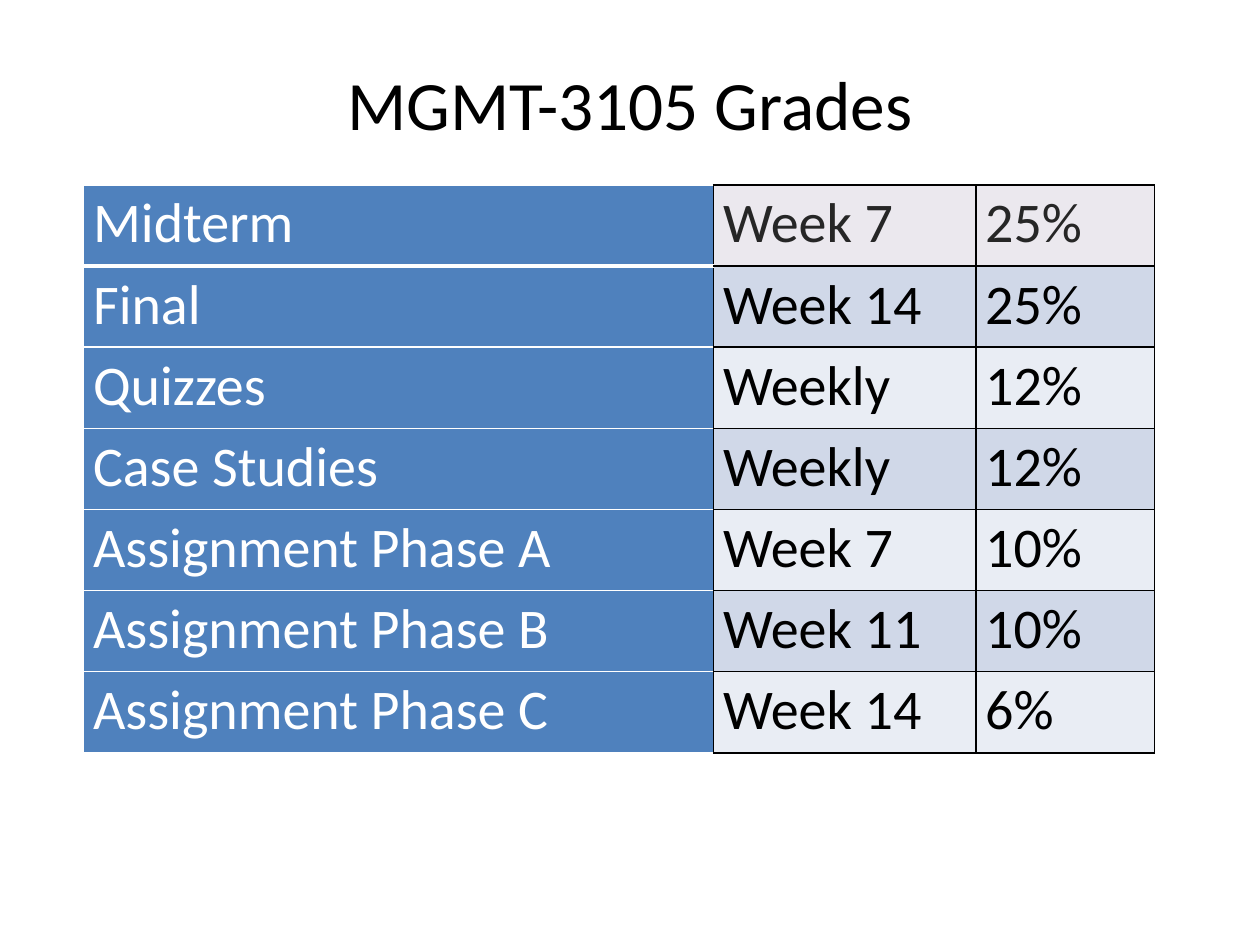
from lxml.etree import SubElement
from pptx import Presentation
from pptx.dml.color import RGBColor
from pptx.enum.text import MSO_ANCHOR, PP_ALIGN
from pptx.oxml.ns import qn
from pptx.util import Pt

# Content
TITLE = "MGMT-3105 Grades"
GRADES = [
    ("Midterm", "Week 7", "25%"),
    ("Final", "Week 14", "25%"),
    ("Quizzes", "Weekly", "12%"),
    ("Case Studies", "Weekly", "12%"),
    ("Assignment Phase A", "Week 7", "10%"),
    ("Assignment Phase B", "Week 11", "10%"),
    ("Assignment Phase C", "Week 14", "6%"),
]

# Format
BLACK = RGBColor(0x00, 0x00, 0x00)
WHITE = RGBColor(0xFF, 0xFF, 0xFF)
CHARCOAL = RGBColor(0x26, 0x26, 0x26)
BLUE = RGBColor(0x4F, 0x81, 0xBD)
LILAC = RGBColor(0xEB, 0xE8, 0xEE)
BANDS = [RGBColor(0xE9, 0xED, 0xF4), RGBColor(0xD0, 0xD8, 0xE8)]
FONT = "Calibri"
COLUMN_WIDTHS = [360, 149.8, 102.2]
ROW_HEIGHT = 46.4
TABLE_LEFT, TABLE_TOP = 47.8, 105.6
TITLE_BOX = {"left": Pt(76.3), "top": Pt(30.2), "width": Pt(567.4), "height": Pt(56.7)}
CELL_FORMAT = {"margin_left": Pt(5.4), "margin_right": Pt(5.4),
               "margin_top": Pt(0), "margin_bottom": Pt(0)}
PARA_FORMAT = {"alignment": PP_ALIGN.LEFT, "line_spacing": 1.07, "space_after": Pt(8)}


def apply(target, values):
    for name, value in values.items():
        setattr(target, name, value)


def set_font(font, size, color):
    apply(font, {"name": FONT, "size": Pt(size), "bold": False})
    font.color.rgb = color


def set_border(cell, side, color, width):
    properties = cell._tc.get_or_add_tcPr()
    line = SubElement(properties, qn(f"a:ln{side}"), w=str(Pt(width)))
    fill = SubElement(line, qn("a:solidFill"))
    SubElement(fill, qn("a:srgbClr"), val=str(color))


def cell_colors(row, column):
    """Return the fill, text and border colours of a cell."""
    if column == 0:
        return BLUE, WHITE, WHITE
    if row == 0:
        return LILAC, CHARCOAL, BLACK
    return BANDS[row % 2], BLACK, BLACK


def add_title(page):
    title = page.shapes.title
    apply(title, TITLE_BOX)
    frame = title.text_frame
    apply(frame, {"text": TITLE, "word_wrap": True, "vertical_anchor": MSO_ANCHOR.MIDDLE})
    para = frame.paragraphs[0]
    para.alignment = PP_ALIGN.CENTER
    set_font(para.font, 39.6, BLACK)


def add_grades(page):
    table = page.shapes.add_table(
        len(GRADES), len(COLUMN_WIDTHS), Pt(TABLE_LEFT), Pt(TABLE_TOP),
        Pt(sum(COLUMN_WIDTHS)), Pt(ROW_HEIGHT * len(GRADES))).table
    apply(table, {"first_row": False, "horz_banding": False})
    for column, width in zip(table.columns, COLUMN_WIDTHS):
        column.width = Pt(width)
    for row, texts in enumerate(GRADES):
        table.rows[row].height = Pt(ROW_HEIGHT)
        for column, text in enumerate(texts):
            cell = table.cell(row, column)
            fill, ink, edge = cell_colors(row, column)
            apply(cell, {"text": text, **CELL_FORMAT})
            # Borders come before the fill in the cell properties
            for side in "LRTB":
                heavy = (row, column, side) == (0, 0, "B")
                set_border(cell, side, BLACK if side == "R" else edge, 3 if heavy else 1)
            cell.fill.solid()
            cell.fill.fore_color.rgb = fill
            para = cell.text_frame.paragraphs[0]
            apply(para, PARA_FORMAT)
            set_font(para.runs[0].font, 32, ink)


def main():
    deck = Presentation()
    apply(deck, {"slide_width": Pt(720), "slide_height": Pt(540)})
    page = deck.slides.add_slide(deck.slide_layouts[5])
    add_title(page)
    add_grades(page)
    deck.save("out.pptx")


if __name__ == "__main__":
    main()
